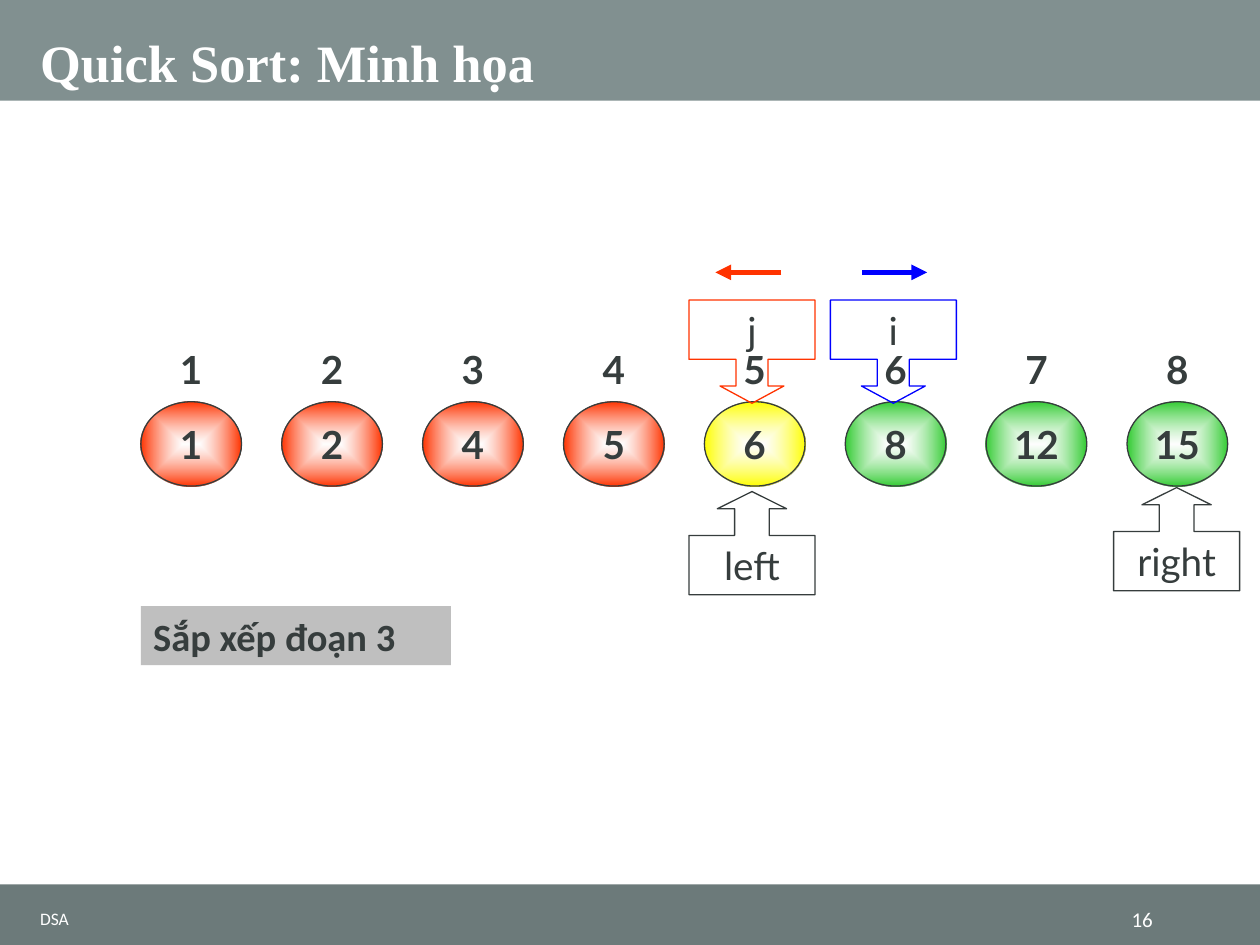
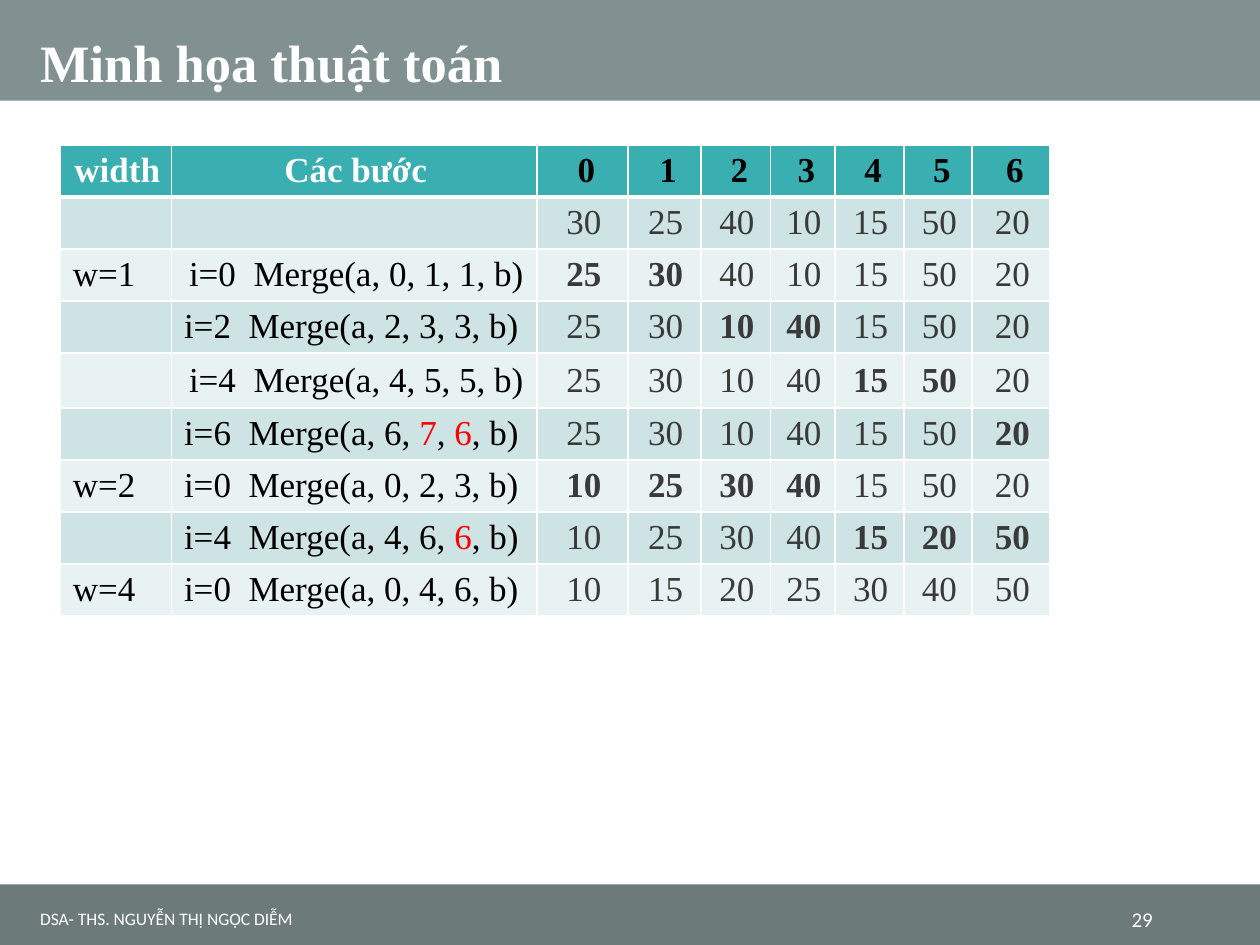
from lxml import etree
from pptx import Presentation
from pptx.dml.color import RGBColor
from pptx.enum.shapes import MSO_CONNECTOR, MSO_SHAPE as SHAPE
from pptx.enum.text import MSO_ANCHOR as ANCHOR, PP_ALIGN as ALIGN
from pptx.oxml import parse_xml
from pptx.oxml.ns import nsdecls, qn
from pptx.util import Cm, Pt

COLORS = {
    "white": "FFFFFF", "black": "000000", "text": "363D3D", "value": "3A3A3A",
    "title_band": "819090", "footer_band": "6C7A7A", "note": "BFBFBF",
    "red": "FF3300", "yellow": "FFFF00", "green": "33CC33", "blue": "0000FF",
    "mark": "FF0000", "head": "3AAFB2", "band1": "CEE3E4", "band2": "E8F2F2",
}
SERIF, SANS, LATO = "Times New Roman", "Calibri", "Lato"
TITLE = {"name": SERIF, "size": Pt(30), "bold": True, "color": "white"}
LABEL = {"name": LATO, "size": Pt(22.1), "bold": False, "color": "text"}
NUMBER = {**LABEL, "bold": True}
NOTE = {"name": SANS, "size": Pt(22), "bold": True, "color": "text"}
FOOTER = {"name": SANS, "size": Pt(10), "color": "white"}
PAGE_NO = {**FOOTER, "size": Pt(12)}
CELL = {"name": SERIF, "size": Pt(20), "bold": False, "color": "black"}


def rgb(name):
    return RGBColor.from_string(COLORS[name])


def box_cm(*lengths):
    return [Cm(v) for v in lengths]


def add_run(p, text, style):
    r = p.add_run()
    r.text = text
    for key, value in style.items():
        if key == "color":
            r.font.color.rgb = rgb(value)
        else:
            setattr(r.font, key, value)


def write(tf, text, style, align=ALIGN.LEFT, anchor=ANCHOR.MIDDLE, margin=0.25):
    for key, value in {"word_wrap": True, "vertical_anchor": anchor,
                       "margin_left": Cm(margin), "margin_right": Cm(margin),
                       "margin_top": 0, "margin_bottom": 0}.items():
        setattr(tf, key, value)
    p = tf.paragraphs[0]
    p.alignment = align
    add_run(p, text, style)
    return p


def add_shape(s, kind, box, fill=None, line=None):
    sp = s.shapes.add_shape(kind, *box_cm(*box))
    sp.shadow.inherit = False
    if fill:
        sp.fill.solid()
        sp.fill.fore_color.rgb = rgb(fill)
    else:
        sp.fill.background()
    if line:
        sp.line.color.rgb = rgb(line)
        sp.line.width = Pt(0.75)
    else:
        sp.line.fill.background()
    return sp


def add_text(s, box, text, style, align=ALIGN.LEFT):
    write(s.shapes.add_textbox(*box_cm(*box)).text_frame, text, style, align)


def add_base_slide(prs, title, footer, page_no):
    """Slide with the shared bands, title and footer."""
    s = prs.slides.add_slide(prs.slide_layouts[5])

    # Bands behind the title
    for box, fill in (((0, 0, 25.4, 2.03), "title_band"),
                      ((0, 17.83, 25.4, 1.22), "footer_band")):
        band = add_shape(s, SHAPE.RECTANGLE, box, fill)
        s.shapes.element.insert(2, band.element)

    # Title
    ph = s.shapes.title
    ph.left, ph.top, ph.width, ph.height = box_cm(0.56, 0, 24.31, 2.03)
    p = write(ph.text_frame, title, TITLE, anchor=ANCHOR.BOTTOM)
    p.line_spacing = 0.9
    ph.text_frame.margin_bottom = Cm(0.13)

    # Footer and page number
    add_text(s, (0.56, 18.19, 17.65, 0.66), footer, FOOTER)
    add_text(s, (21.51, 18.19, 1.98, 0.66), page_no, PAGE_NO, ALIGN.RIGHT)
    return s


def add_glow(sp, color):
    """Gradient from a pale centre to the colour at the edge."""
    old = sp.element.spPr.find(qn("a:noFill"))
    grad = parse_xml(
        f'<a:gradFill {nsdecls("a")} rotWithShape="1"><a:gsLst>'
        f'<a:gs pos="0"><a:srgbClr val="{COLORS["white"]}"><a:alpha val="60000"/></a:srgbClr></a:gs>'
        f'<a:gs pos="100000"><a:srgbClr val="{COLORS[color]}"/></a:gs></a:gsLst>'
        '<a:path path="shape"><a:fillToRect l="50000" t="50000" r="50000" b="50000"/></a:path>'
        '</a:gradFill>')
    sp.element.spPr.replace(old, grad)


def add_array(s, left, top, values, colors):
    """Row of balls with their positions above."""
    step, width, height = 2.84, 2.03, 1.7
    for i, (value, color) in enumerate(zip(values, colors)):
        x = left + i * step
        ball = add_shape(s, SHAPE.OVAL, (x, top + 1.5, width, height), line="text")
        add_glow(ball, color)
        write(ball.text_frame, str(value), NUMBER, ALIGN.CENTER, margin=0)
        add_text(s, (x, top, width, height), str(i + 1), NUMBER, ALIGN.CENTER)


def add_callout(s, kind, left, top, text, line, shaft):
    sp = add_shape(s, kind, (left, top, 2.54, 2.08), line=line)
    for i, value in enumerate((shaft, shaft, 0.167, 0.575)):
        sp.adjustments[i] = value
    write(sp.text_frame, text, LABEL, ALIGN.CENTER, margin=0.1)


def add_index(s, left, top, text, color, start, end):
    """Moving index: a direction arrow above a callout."""
    add_callout(s, SHAPE.DOWN_ARROW_CALLOUT, left, top + 0.56, text, color, 0.31)
    arrow = s.shapes.add_connector(MSO_CONNECTOR.STRAIGHT, *box_cm(
        left + start, top, left + end, top))
    arrow.line.color.rgb = rgb(color)
    arrow.line.width = Pt(3)
    etree.SubElement(arrow.line._get_or_add_ln(), qn("a:tailEnd"), type="triangle")
    etree.SubElement(arrow.element.spPr, qn("a:effectLst"))


def quick_sort_slide(prs):
    s = add_base_slide(prs, "Quick Sort: Minh họa", "DSA", "16")
    add_array(s, 2.84, 6.6, (1, 2, 4, 5, 6, 8, 12, 15),
              ["red"] * 4 + ["yellow"] + ["green"] * 3)

    # Bounds of the segment
    for left, top, text in ((13.89, 9.91, "left"), (22.45, 9.83, "right")):
        add_callout(s, SHAPE.UP_ARROW_CALLOUT, left, top, text, "text", 0.336)

    # Indices i and j
    add_index(s, 16.74, 5.49, "i", "blue", 0.64, 1.95)
    add_index(s, 13.89, 5.49, "j", "red", 1.86, 0.53)

    # Note
    note = add_shape(s, SHAPE.RECTANGLE, (2.84, 12.22, 6.25, 1.19), "note")
    write(note.text_frame, "Sắp xếp đoạn 3", NOTE)


# Width, step (red parts between asterisks), values, bold columns
MERGE_STEPS = (
    ("", "", (30, 25, 40, 10, 15, 50, 20), ()),
    ("w=1", "i=0  Merge(a, 0, 1, 1, b)", (25, 30, 40, 10, 15, 50, 20), (0, 1)),
    ("", "i=2  Merge(a, 2, 3, 3, b)", (25, 30, 10, 40, 15, 50, 20), (2, 3)),
    ("", "i=4  Merge(a, 4, 5, 5, b)", (25, 30, 10, 40, 15, 50, 20), (4, 5)),
    ("", "i=6  Merge(a, 6, *7*,* 6*, b)", (25, 30, 10, 40, 15, 50, 20), (6,)),
    ("w=2", "i=0  Merge(a, 0, 2, 3, b)", (10, 25, 30, 40, 15, 50, 20), (0, 1, 2, 3)),
    ("", "i=4  Merge(a, 4, 6, *6*, b)", (10, 25, 30, 40, 15, 20, 50), (4, 5, 6)),
    ("w=4", "i=0  Merge(a, 0, 4, 6, b)", (10, 15, 20, 25, 30, 40, 50), ()),
)
INDENTED_ROWS = (2, 4)


def format_cell(cell, fill, top=1, bottom=1):
    """White borders in points, then fill, margins and anchor."""
    tc_pr = cell._tc.get_or_add_tcPr()
    for side, width in (("L", 1), ("R", 1), ("T", top), ("B", bottom)):
        tc_pr.append(parse_xml(
            f'<a:ln{side} {nsdecls("a")} w="{Pt(width)}"><a:solidFill>'
            f'<a:srgbClr val="{COLORS["white"]}"/></a:solidFill></a:ln{side}>'))
    cell.fill.solid()
    cell.fill.fore_color.rgb = rgb(fill)
    for key, value in {"margin_left": Cm(0.25), "margin_right": Cm(0.2),
                       "margin_top": Cm(0.1), "margin_bottom": Cm(0.1),
                       "vertical_anchor": ANCHOR.MIDDLE}.items():
        setattr(cell, key, value)


def fill_cell(cell, text, style, align=ALIGN.CENTER, indent=False):
    p = cell.text_frame.paragraphs[0]
    p.alignment = align
    if indent:
        p._p.get_or_add_pPr().set("marL", str(Cm(0.1)))
    for i, part in enumerate(text.split("*")):
        if part:
            add_run(p, part, {**style, "color": "mark"} if i % 2 else style)


def add_merge_table(s, left, top):
    widths = (2.24, 7.37, 1.83, 1.47, 1.4, 1.3, 1.4, 1.37, 1.57)
    heights = [1.04] * 4 + [1.11] + [1.04] * 4
    t = s.shapes.add_table(len(heights), len(widths), *box_cm(
        left, top, sum(widths), sum(heights))).table
    for col, width in zip(t.columns, widths):
        col.width = Cm(width)
    for row, height in zip(t.rows, heights):
        row.height = Cm(height)

    # Header row
    for c, text in enumerate(["width", "Các bước"] + [str(i) for i in range(7)]):
        format_cell(t.cell(0, c), "head", bottom=3)
        style = {**CELL, "bold": True, "color": "white" if c < 2 else "black"}
        fill_cell(t.cell(0, c), text, style, indent=c >= 2)

    # Merge steps
    for r, (width, step, values, bold) in enumerate(MERGE_STEPS, 1):
        for c in range(len(widths)):
            format_cell(t.cell(r, c), "band1" if r % 2 else "band2",
                        top=3 if r == 1 else 1)
        fill_cell(t.cell(r, 0), width, CELL, ALIGN.LEFT)
        fill_cell(t.cell(r, 1), step, CELL, ALIGN.LEFT, r in INDENTED_ROWS)
        for i, value in enumerate(values):
            style = {**CELL, "color": "value", "bold": i in bold}
            fill_cell(t.cell(r, i + 2), str(value), style)


def merge_sort_slide(prs):
    s = add_base_slide(prs, "Minh họa thuật toán",
                       "DSA- THS. NGUYỄN THỊ NGỌC DIỄM", "29")
    add_merge_table(s, 1.22, 2.92)


def main():
    prs = Presentation()
    prs.slide_width, prs.slide_height = Cm(25.4), Cm(19.05)
    quick_sort_slide(prs)
    merge_sort_slide(prs)
    prs.save("out.pptx")


if __name__ == "__main__":
    main()
